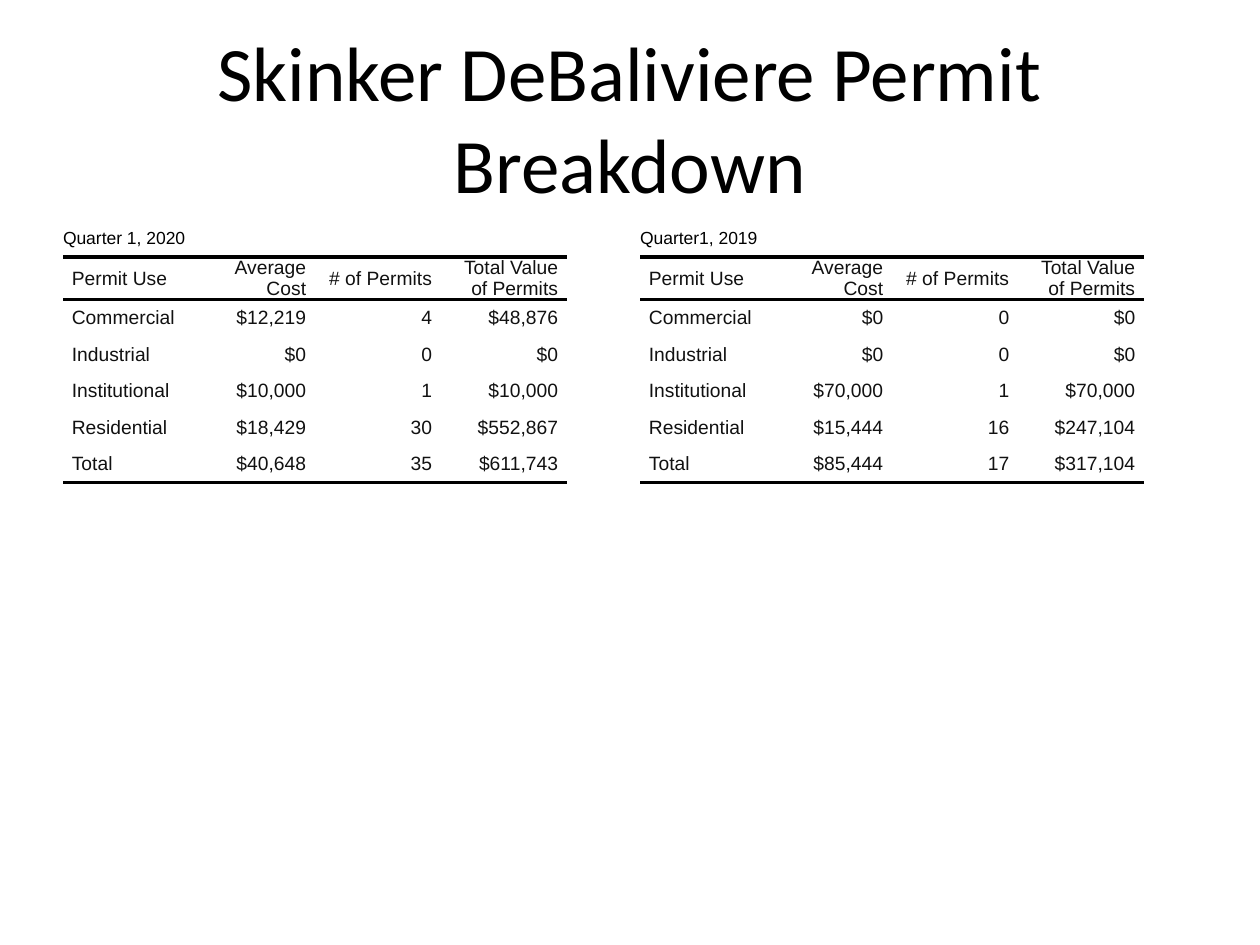
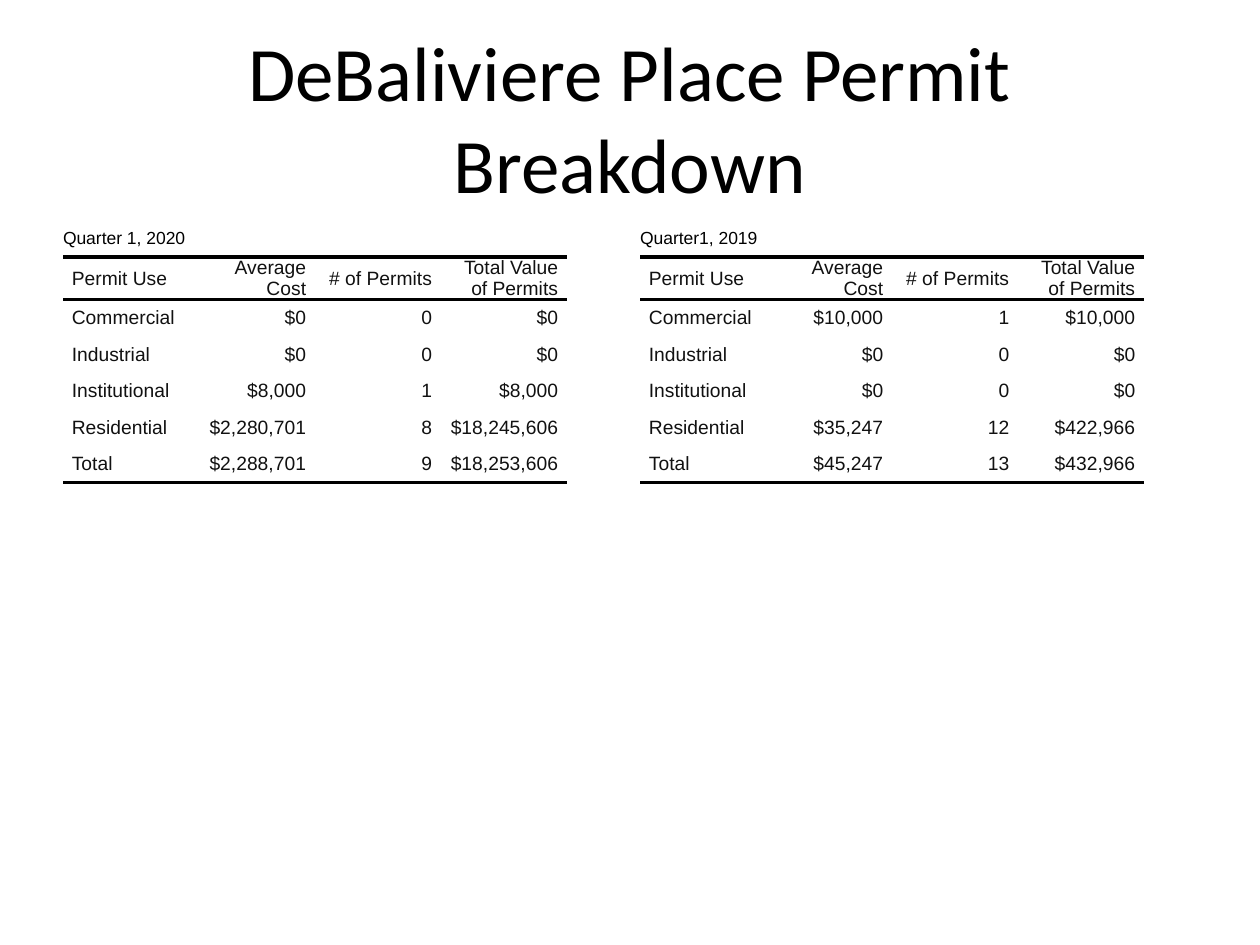
from lxml.etree import SubElement
from pptx import Presentation
from pptx.dml.color import RGBColor
from pptx.enum.text import MSO_ANCHOR as Anchor, MSO_AUTO_SIZE as AutoSize, PP_ALIGN as Align
from pptx.oxml.ns import qn
from pptx.util import Inches, Pt

COLORS = {"black": "000000", "body": "111111"}
NO_STYLE = "{2D5ABB26-0587-4C30-8999-92F81FD0307C}"
TITLE_ONLY = 5
COLUMN_WIDTH = 1
ROW_HEIGHT = 0.29
CELL_INDENT = 0.07
TABLE_TOP, TABLE_WIDTH, TABLE_HEIGHT = 1.75, 4.42, 4.95
TABLE_LEFTS = (0.5, 5.08)
QUARTERS = ("Quarter 1, 2020", "Quarter1, 2019")
HEADINGS = ("Permit Use", "Average Cost", "# of Permits", "Total Value of Permits")
USES = ("Commercial", "Industrial", "Institutional", "Residential", "Total")

BREAKDOWNS = {
    "Skinker DeBaliviere Permit Breakdown": (
        (("$12,219", "4", "$48,876"), ("$0", "0", "$0"), ("$10,000", "1", "$10,000"),
         ("$18,429", "30", "$552,867"), ("$40,648", "35", "$611,743")),
        (("$0", "0", "$0"), ("$0", "0", "$0"), ("$70,000", "1", "$70,000"),
         ("$15,444", "16", "$247,104"), ("$85,444", "17", "$317,104")),
    ),
    "DeBaliviere Place Permit Breakdown": (
        (("$0", "0", "$0"), ("$0", "0", "$0"), ("$8,000", "1", "$8,000"),
         ("$2,280,701", "8", "$18,245,606"), ("$2,288,701", "9", "$18,253,606")),
        (("$10,000", "1", "$10,000"), ("$0", "0", "$0"), ("$0", "0", "$0"),
         ("$35,247", "12", "$422,966"), ("$45,247", "13", "$432,966")),
    ),
}


class PermitDeck:
    def __init__(self):
        self.deck = Presentation()
        self.deck.slide_width, self.deck.slide_height = Inches(10), Inches(7.5)
        self.page = None

    def add_page(self, title):
        self.page = self.deck.slides.add_slide(self.deck.slide_layouts[TITLE_ONLY])
        box = self.page.shapes.title
        box.left, box.top = Inches(0.5), Inches(0.3)
        box.width, box.height = Inches(9), Inches(1.25)
        frame = box.text_frame
        frame.word_wrap = True
        frame.auto_size = AutoSize.NONE
        frame.vertical_anchor = Anchor.MIDDLE
        para = frame.paragraphs[0]
        para.alignment = Align.CENTER
        self.add_span(para, title, 44, "black", "Calibri")

    def add_span(self, para, text, size, color, font="Arial"):
        span = para.add_run()
        span.text = text
        span.font.name = font
        span.font.size = Pt(size)
        span.font.color.rgb = RGBColor.from_string(COLORS[color])

    def add_rule(self, cell, side):
        rule = SubElement(cell._tc.get_or_add_tcPr(), qn(f"a:ln{side}"), w=str(Pt(2)))
        fill = SubElement(rule, qn("a:solidFill"))
        SubElement(fill, qn("a:srgbClr"), val=COLORS["black"])

    def format_cell(self, cell, sides=""):
        cell.margin_left = cell.margin_right = 0
        cell.margin_top = cell.margin_bottom = 0
        cell.vertical_anchor = Anchor.MIDDLE
        for side in sides:
            self.add_rule(cell, side)
        cell.fill.background()

    def fill_cell(self, cell, text, is_number):
        para = cell.text_frame.paragraphs[0]
        para.alignment = Align.RIGHT if is_number else Align.LEFT
        para.space_after = Pt(2)
        properties = para._p.get_or_add_pPr()
        for margin in ("marL", "marR"):
            properties.set(margin, str(Inches(CELL_INDENT)))
        self.add_span(para, text, 11, "body")

    def add_permit_table(self, left, quarter, figures):
        rows = [HEADINGS] + [(use, *values) for use, values in zip(USES, figures)]
        rules = {1: "TB", len(rows): "B"}
        holder = self.page.shapes.add_table(
            len(rows) + 1, len(HEADINGS), Inches(left), Inches(TABLE_TOP),
            Inches(TABLE_WIDTH), Inches(TABLE_HEIGHT))
        table = holder.table
        table.first_row = table.horz_banding = False
        table._tbl.tblPr.find(qn("a:tableStyleId")).text = NO_STYLE
        for column in table.columns:
            column.width = Inches(COLUMN_WIDTH)
        for row in table.rows:
            row.height = Inches(ROW_HEIGHT)
        holder.width, holder.height = Inches(TABLE_WIDTH), Inches(TABLE_HEIGHT)

        caption = table.cell(0, 0)
        caption.merge(table.cell(0, len(HEADINGS) - 1))
        for cell in table.rows[0].cells:
            self.format_cell(cell)
        self.add_span(caption.text_frame.paragraphs[0], quarter, 10, "black")
        for row_index, texts in enumerate(rows, start=1):
            for column_index, text in enumerate(texts):
                cell = table.cell(row_index, column_index)
                self.format_cell(cell, rules.get(row_index, ""))
                self.fill_cell(cell, text, column_index > 0)


def main():
    permits = PermitDeck()
    for title, quarters in BREAKDOWNS.items():
        permits.add_page(title)
        for left, quarter, figures in zip(TABLE_LEFTS, QUARTERS, quarters):
            permits.add_permit_table(left, quarter, figures)
    permits.deck.save("out.pptx")


if __name__ == "__main__":
    main()
